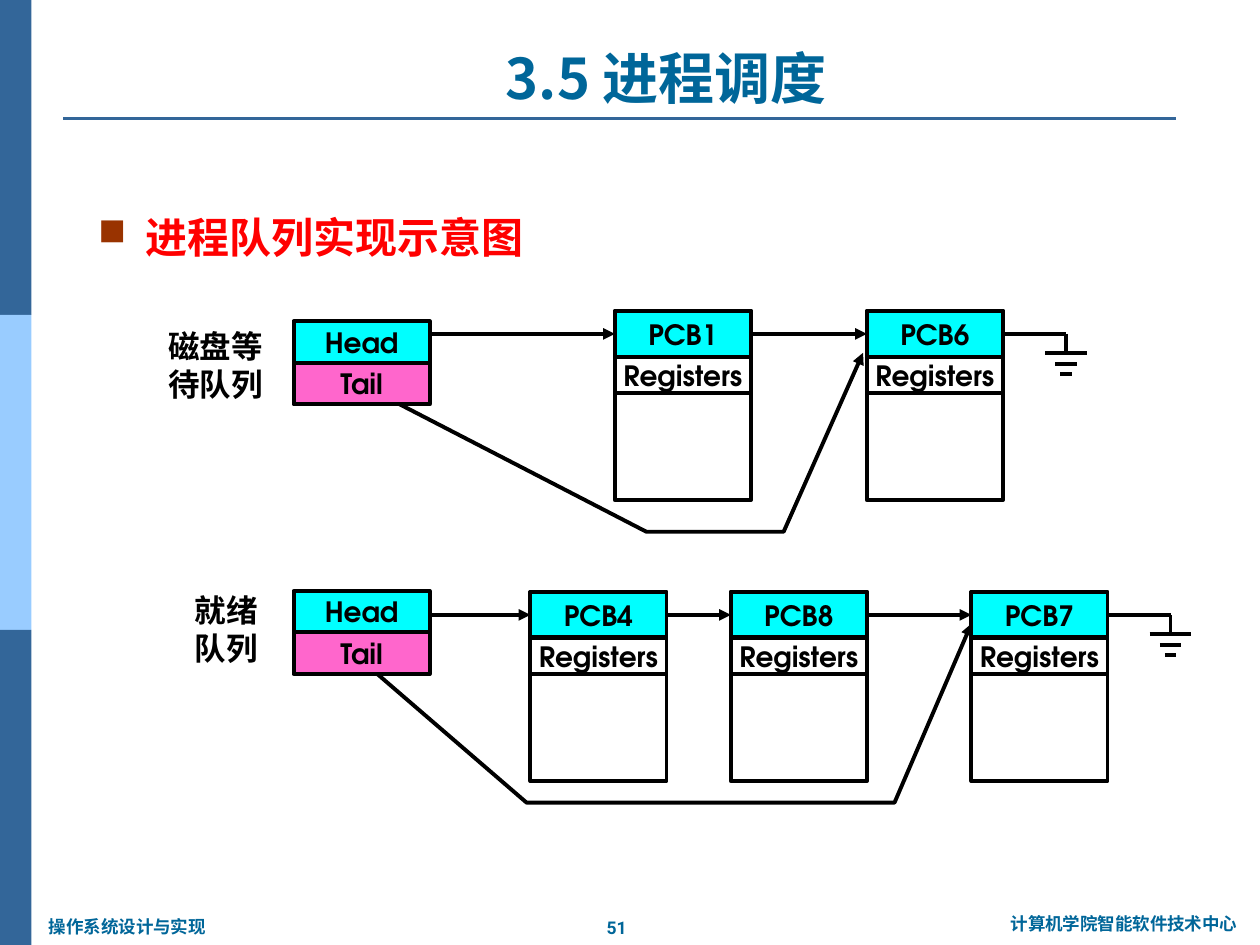
from lxml import etree
from pptx import Presentation
from pptx.dml.color import RGBColor
from pptx.enum.shapes import MSO_CONNECTOR, MSO_SHAPE
from pptx.enum.text import MSO_ANCHOR, PP_ALIGN
from pptx.oxml.ns import qn
from pptx.util import Inches, Pt

STRAIGHT = MSO_CONNECTOR.STRAIGHT
RECTANGLE = MSO_SHAPE.RECTANGLE
CENTER, LEFT = PP_ALIGN.CENTER, PP_ALIGN.LEFT
TOP, MIDDLE, BOTTOM = MSO_ANCHOR.TOP, MSO_ANCHOR.MIDDLE, MSO_ANCHOR.BOTTOM
RIGHT_SITE, LEFT_SITE = 3, 1

CJK, LATIN, FOOTER_FONT, BODY_FONT = "Noto Sans CJK SC", "TeX Gyre Adventor", "Roboto", "Times New Roman"
NAVY, SKY, TEAL = "336699", "99CCFF", "006699"
BLACK, WHITE, CYAN, PINK, RED, BROWN = "000000", "FFFFFF", "00FFFF", "FF66CC", "FF0000", "993300"

TITLE = "3.5 进程调度"
HEADING = "进程队列实现示意图"
STRIPES = [NAVY, SKY, NAVY]
FOOTERS = [
    ("操作系统设计与实现", (0.29, 7.22, 1.46, 0.27), LEFT, False),
    ("51", (4.71, 7.23, 0.37, 0.27), CENTER, False),
    ("计算机学院智能软件技术中心", (7.87, 7.2, 2.1, 0.27), CENTER, True),
]
QUEUES = [
    {
        "label": ["磁盘等待队列"],
        "label_box": (1.21, 2.55, 1, 0.7),
        "head_top": 2.55,
        "block_top": 2.47,
        "blocks": [("PCB1", 4.88), ("PCB6", 6.88)],
        "tail_path": [(2.71, 2.97), (5.13, 4.22), (6.22, 4.22), (6.85, 2.8)],
    },
    {
        "label": ["就绪", "队列"],
        "label_box": (1.38, 4.64, 0.83, 0.7),
        "head_top": 4.69,
        "block_top": 4.7,
        "blocks": [("PCB4", 4.21), ("PCB8", 5.8), ("PCB7", 7.71)],
        "tail_path": [(2.88, 5.25), (4.18, 6.37), (7.1, 6.37), (7.71, 4.95)],
    },
]
HEAD_LEFT, CELL_WIDTH, CELL_HEIGHT = 2.33, 1.08, 0.33
BLOCK_HEIGHT, NAME_HEIGHT, REGISTER_HEIGHT = 1.5, 0.36, 0.29
GROUND_WIRE = 0.5
GROUND_BARS = [(0.15, 0.33), (0.24, 0.17), (0.32, 0.09)]


def color(value):
    return RGBColor.from_string(value)


def write(frame, lines, size, font, ink, align=CENTER, anchor=TOP, wrap=True):
    frame.word_wrap = wrap
    frame.vertical_anchor = anchor
    for index, line in enumerate(lines):
        para = frame.add_paragraph() if index else frame.paragraphs[0]
        para.text = line
        para.alignment = align
        para.font.size = Pt(size)
        para.font.name = font
        para.font.bold = True
        para.font.color.rgb = color(ink)


def add_text(slide, place, lines, size, font, ink, **layout):
    box = slide.shapes.add_textbox(*map(Inches, place))
    write(box.text_frame, lines, size, font, ink, **layout)


def add_rectangle(slide, place, fill, border=BLACK, text=None):
    shape = slide.shapes.add_shape(RECTANGLE, *map(Inches, place))
    shape.shadow.inherit = False
    shape.fill.solid()
    shape.fill.fore_color.rgb = color(fill)
    if border:
        shape.line.color.rgb = color(border)
        shape.line.width = Pt(2.25)
    else:
        shape.line.fill.background()
    if text:
        write(shape.text_frame, [text], 16, LATIN, BLACK, anchor=MIDDLE, wrap=False)
    return shape


def style_line(shape, ink=BLACK, width=2.25, arrow=False):
    shape.line.color.rgb = color(ink)
    shape.line.width = Pt(width)
    if arrow:
        outline = shape.line._get_or_add_ln()
        etree.SubElement(outline, qn("a:tailEnd"), type="triangle")


def add_line(slide, start, end, begin_shape=None, end_shape=None, **style):
    line = slide.shapes.add_connector(STRAIGHT, *map(Inches, start + end))
    style_line(line, **style)
    etree.SubElement(line._element.spPr, qn("a:effectLst"))
    if begin_shape is not None:
        line.begin_connect(begin_shape, RIGHT_SITE)
    if end_shape is not None:
        line.end_connect(end_shape, LEFT_SITE)


def add_tail_path(slide, points):
    start, *rest = [(Inches(x), Inches(y)) for x, y in points]
    builder = slide.shapes.build_freeform(*start)
    builder.add_line_segments(rest, close=False)
    shape = builder.convert_to_shape()
    shape.shadow.inherit = False
    shape.fill.background()
    style_line(shape, arrow=True)


def add_block(slide, name, left, top):
    add_rectangle(slide, (left, top, CELL_WIDTH, BLOCK_HEIGHT), WHITE)
    header = add_rectangle(slide, (left, top, CELL_WIDTH, NAME_HEIGHT), CYAN, text=name)
    add_rectangle(slide, (left, top + NAME_HEIGHT, CELL_WIDTH, REGISTER_HEIGHT), WHITE, text="Registers")
    return header


def add_ground(slide, header, left, y):
    x = left + GROUND_WIRE
    add_line(slide, (left, y), (x, y), begin_shape=header)
    add_line(slide, (x, y), (x, y + GROUND_BARS[0][0]))
    for drop, width in GROUND_BARS:
        add_line(slide, (x - width / 2, y + drop), (x + width / 2, y + drop))


def add_queue(slide, queue):
    add_tail_path(slide, queue["tail_path"])
    add_text(slide, queue["label_box"], queue["label"], 18, LATIN, BLACK)
    for row, (name, fill) in enumerate([("Head", CYAN), ("Tail", PINK)]):
        top = queue["head_top"] + row * CELL_HEIGHT
        add_rectangle(slide, (HEAD_LEFT, top, CELL_WIDTH, CELL_HEIGHT), fill, text=name)
    wire_y = queue["block_top"] + NAME_HEIGHT / 2
    right, previous = HEAD_LEFT + CELL_WIDTH, None
    for name, left in queue["blocks"]:
        header = add_block(slide, name, left, queue["block_top"])
        add_line(slide, (right, wire_y), (left, wire_y), previous, header, arrow=True)
        right, previous = left + CELL_WIDTH, header
    add_ground(slide, previous, right, wire_y)


def add_heading(slide):
    box = slide.shapes.add_textbox(*map(Inches, (0.68, 1.51, 5.45, 0.59)))
    para = box.text_frame.paragraphs[0]
    para.line_spacing = 1.3
    properties = para._p.get_or_add_pPr()
    properties.set("marL", str(Inches(0.38)))
    properties.set("indent", str(-Inches(0.38)))
    bullet_color = etree.SubElement(properties, qn("a:buClr"))
    etree.SubElement(bullet_color, qn("a:srgbClr"), val=BROWN)
    etree.SubElement(properties, qn("a:buSzPct"), val="90000")
    etree.SubElement(properties, qn("a:buChar"), char="■")
    write(box.text_frame, [HEADING], 24, BODY_FONT, RED, align=LEFT)


def main():
    deck = Presentation()
    deck.slide_width, deck.slide_height = Inches(10), Inches(7.5)
    slide = deck.slides.add_slide(deck.slide_layouts[5])
    for index, fill in enumerate(STRIPES):
        add_rectangle(slide, (0, index * 2.5, 0.25, 2.5), fill, border=None)
    add_line(slide, (0.5, 0.94), (9.33, 0.94), ink=NAVY, width=1.5)

    title = slide.shapes.title
    title.left, title.top, title.width, title.height = map(Inches, (1.8, 0.3, 6.98, 0.63))
    write(title.text_frame, [TITLE], 32, CJK, TEAL, anchor=BOTTOM)

    add_heading(slide)
    for queue in QUEUES:
        add_queue(slide, queue)
    for text, place, align, wrap in FOOTERS:
        add_text(slide, place, [text], 10, FOOTER_FONT, TEAL, align=align, wrap=wrap)
    deck.save("out.pptx")


if __name__ == "__main__":
    main()
